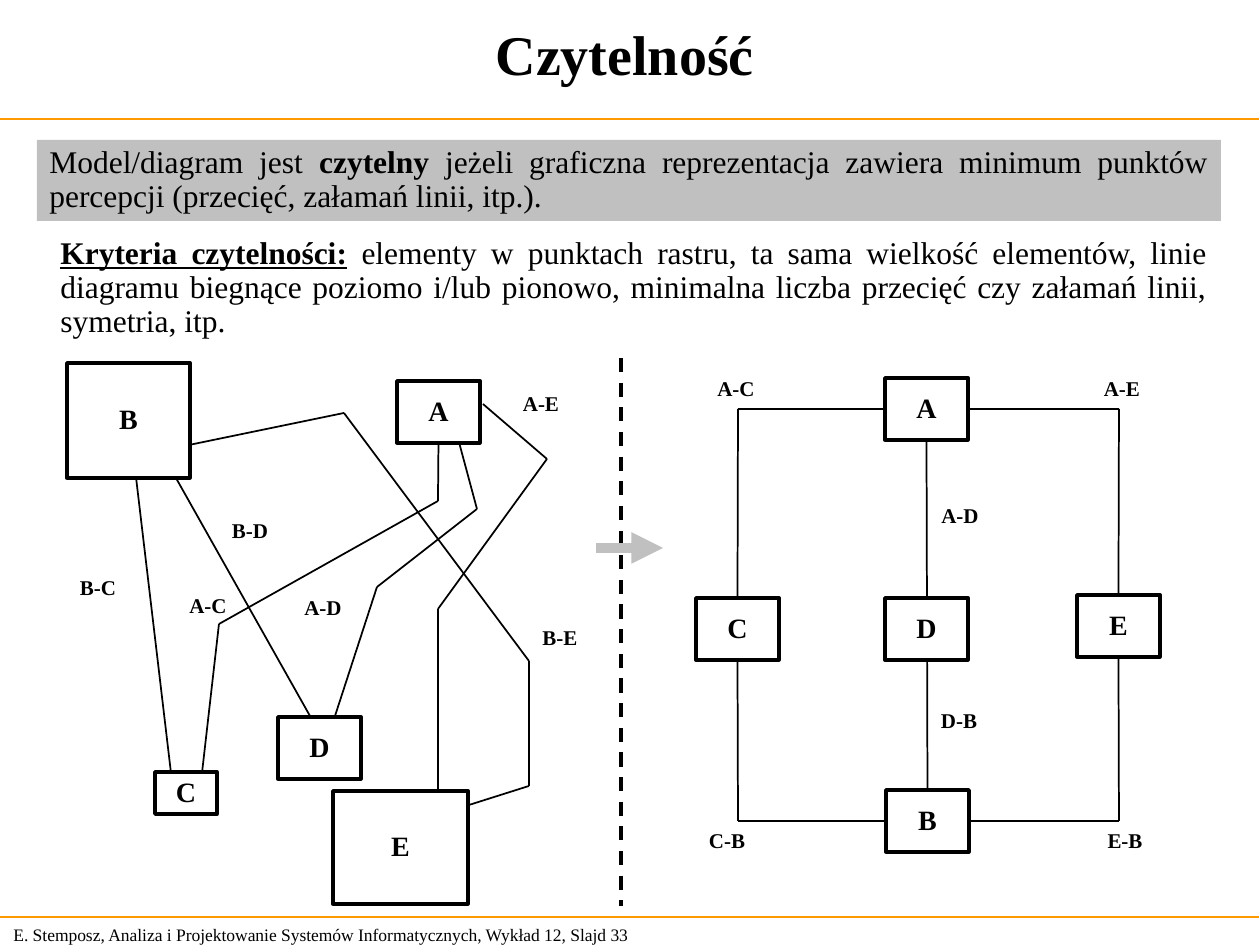
from itertools import pairwise

from lxml import etree
from pptx import Presentation
from pptx import util as u
from pptx.dml.color import RGBColor
from pptx.enum import dml, shapes, text
from pptx.oxml.ns import qn

PX_PER_INCH = 126
BLACK, WHITE, GREY, ORANGE = "000000", "FFFFFF", "C0C0C0", "FF9900"
TOP, LEFT, BOTTOM, RIGHT = range(4)
NODE_SIZE = (83, 62)
LABEL_SIZE = (96, 64)

MESSY_NODES = {
    "B": (67, 363, 123, 115),
    "C": (155, 772, 62, 42),
    "E": (333, 791, 135, 113),
    "D": (278, 717, *NODE_SIZE),
    "A": (397, 381, *NODE_SIZE),
}
MESSY_ROUTES = [
    [(136, 477), (171, 773)],
    [("A", BOTTOM), (438, 501), (219, 624), (202, 773)],
    [(176, 478), (310, 716)],
    [(189, 445), (344, 413), (529, 661), (529, 786), (469, 805)],
    [(483, 404), (547, 459), (438, 609), (438, 791)],
    [(459, 442), (477, 509), (377, 587), (335, 716)],
]
MESSY_LABELS = [
    ("B-D", 202, 500), ("B-C", 50, 557), ("B-E", 512, 607),
    ("A-C", 160, 575), ("A-E", 493, 373), ("A-D", 275, 577),
]
CLEAR_ENDS = {"A": (885, 378, *NODE_SIZE), "B": (886, 790, *NODE_SIZE)}
CLEAR_MIDDLES = {
    "C": (696, 598, *NODE_SIZE),
    "D": (885, 598, *NODE_SIZE),
    "E": (1077, 595, *NODE_SIZE),
}
CLEAR_ROUTES = [
    [("A", LEFT), (738, 409), ("C", TOP)],
    [("C", BOTTOM), (738, 821), ("B", LEFT)],
    [("A", RIGHT), (1119, 409), ("E", TOP)],
    [("E", BOTTOM), (1119, 821), ("B", RIGHT)],
]
CLEAR_LABELS = [
    ("D-B", 911, 690), ("C-B", 679, 810), ("E-B", 1077, 810),
    ("A-C", 688, 358), ("A-E", 1074, 358), ("A-D", 912, 485),
]


def px(*lengths):
    return [round(u.Inches(1) * length / PX_PER_INCH) for length in lengths]


def color(value):
    return RGBColor.from_string(value)


def write(frame, runs, size, align, spacing=0.9, wrap=True, anchor=text.MSO_ANCHOR.MIDDLE):
    frame_format = {
        "word_wrap": wrap,
        "auto_size": text.MSO_AUTO_SIZE.NONE,
        "vertical_anchor": anchor,
    }
    for name, value in frame_format.items():
        setattr(frame, name, value)
    paragraph = frame.paragraphs[0]
    paragraph.alignment = align
    paragraph.line_spacing = spacing
    for words, extra in runs:
        run = paragraph.add_run()
        run.text = words
        run_format = {"name": "Times New Roman", "size": u.Pt(size), "bold": False, **extra}
        for name, value in run_format.items():
            setattr(run.font, name, value)
        run.font.color.rgb = color(BLACK)


def add_title(slide, words):
    title = slide.shapes.title
    for name, value in zip(("left", "top", "width", "height"), px(0, 0, 1250, 107)):
        setattr(title, name, value)
    write(title.text_frame, [(words, {"bold": True})], 32, text.PP_ALIGN.CENTER, 1.0)


def add_text(slide, box, runs, size, align, **layout):
    write(slide.shapes.add_textbox(*px(*box)).text_frame, runs, size, align, **layout)


def add_label(slide, words, left, top):
    add_text(slide, (left, top, *LABEL_SIZE), [(words, {"bold": True})], 12,
             text.PP_ALIGN.CENTER, wrap=False)


def add_rectangle(slide, box, fill=None, border=None):
    rectangle = slide.shapes.add_shape(shapes.MSO_SHAPE.RECTANGLE, *px(*box))
    rectangle.shadow.inherit = False
    if fill:
        rectangle.fill.solid()
        rectangle.fill.fore_color.rgb = color(fill)
    else:
        rectangle.fill.background()
    if border:
        rectangle.line.color.rgb = color(border)
        rectangle.line.width = u.Pt(2)
    else:
        rectangle.line.fill.background()
    return rectangle


def add_nodes(slide, boxes, fill=None):
    nodes = {}
    for name, box in boxes.items():
        nodes[name] = add_rectangle(slide, box, fill, BLACK)
        write(nodes[name].text_frame, [(name, {"bold": True})], 16,
              text.PP_ALIGN.CENTER, wrap=False)
    return nodes


def add_line(slide, start, end, stroke=BLACK, width=1, dash=None, arrow=False):
    line = slide.shapes.add_connector(shapes.MSO_CONNECTOR.STRAIGHT, *px(*start, *end))
    line.line.color.rgb = color(stroke)
    line.line.width = u.Pt(width)
    if dash:
        line.line.dash_style = dash
    properties = line.element.spPr
    if arrow:
        etree.SubElement(properties.find(qn("a:ln")), qn("a:tailEnd"), type="triangle")
    etree.SubElement(properties, qn("a:effectLst"))
    return line


def add_route(slide, nodes, stops):
    for start, end in pairwise(stops):
        points = [(0, 0) if stop[0] in nodes else stop for stop in (start, end)]
        line = add_line(slide, *points)
        for stop, connect in ((start, line.begin_connect), (end, line.end_connect)):
            if stop[0] in nodes:
                connect(nodes[stop[0]], stop[1])


def add_messy_diagram(slide):
    nodes = add_nodes(slide, MESSY_NODES)
    for stops in MESSY_ROUTES:
        add_route(slide, nodes, stops)
    for label in MESSY_LABELS:
        add_label(slide, *label)


def add_clear_diagram(slide):
    nodes = add_nodes(slide, CLEAR_ENDS, WHITE)
    add_route(slide, nodes, [("B", TOP), ("A", BOTTOM)])
    nodes.update(add_nodes(slide, CLEAR_MIDDLES, WHITE))
    for stops in CLEAR_ROUTES:
        add_route(slide, nodes, stops)
    for label in CLEAR_LABELS:
        add_label(slide, *label)


def main():
    deck = Presentation()
    deck.slide_width, deck.slide_height = px(1260, 945)
    slide = deck.slides.add_slide(deck.slide_layouts[5])

    add_text(slide, (1, 917, 661, 34),
             [("E. Stemposz, Analiza i Projektowanie Systemów Informatycznych, "
               "Wykład 12, Slajd 33", {})],
             10, text.PP_ALIGN.LEFT, spacing=1.0, wrap=False)
    for rule_y in (119, 917):
        add_line(slide, (-1, rule_y), (1259, rule_y), ORANGE, 0.75)
    add_title(slide, "Czytelność")

    add_messy_diagram(slide)
    add_line(slide, (621, 358), (621, 906), width=2, dash=dml.MSO_LINE.DASH)
    add_clear_diagram(slide)
    add_line(slide, (596, 548), (663, 548), GREY, 6, arrow=True)

    definition = add_rectangle(slide, (37, 140, 1184, 81), GREY)
    write(definition.text_frame,
          [("Model/diagram jest ", {}),
           ("czytelny", {"bold": True}),
           (" jeżeli graficzna reprezentacja zawiera minimum punktów percepcji "
            "(przecięć, załamań linii, itp.).", {})],
          18, text.PP_ALIGN.JUSTIFY, anchor=text.MSO_ANCHOR.TOP)
    add_text(slide, (48, 231, 1172, 115),
             [("Kryteria czytelności:", {"bold": True, "underline": True}),
              (" elementy w punktach rastru, ta sama wielkość elementów, linie diagramu "
               "biegnące poziomo i/lub pionowo, minimalna liczba przecięć czy załamań "
               "linii, symetria, itp.", {})],
             18, text.PP_ALIGN.JUSTIFY, anchor=text.MSO_ANCHOR.TOP)

    deck.save("out.pptx")


if __name__ == "__main__":
    main()
